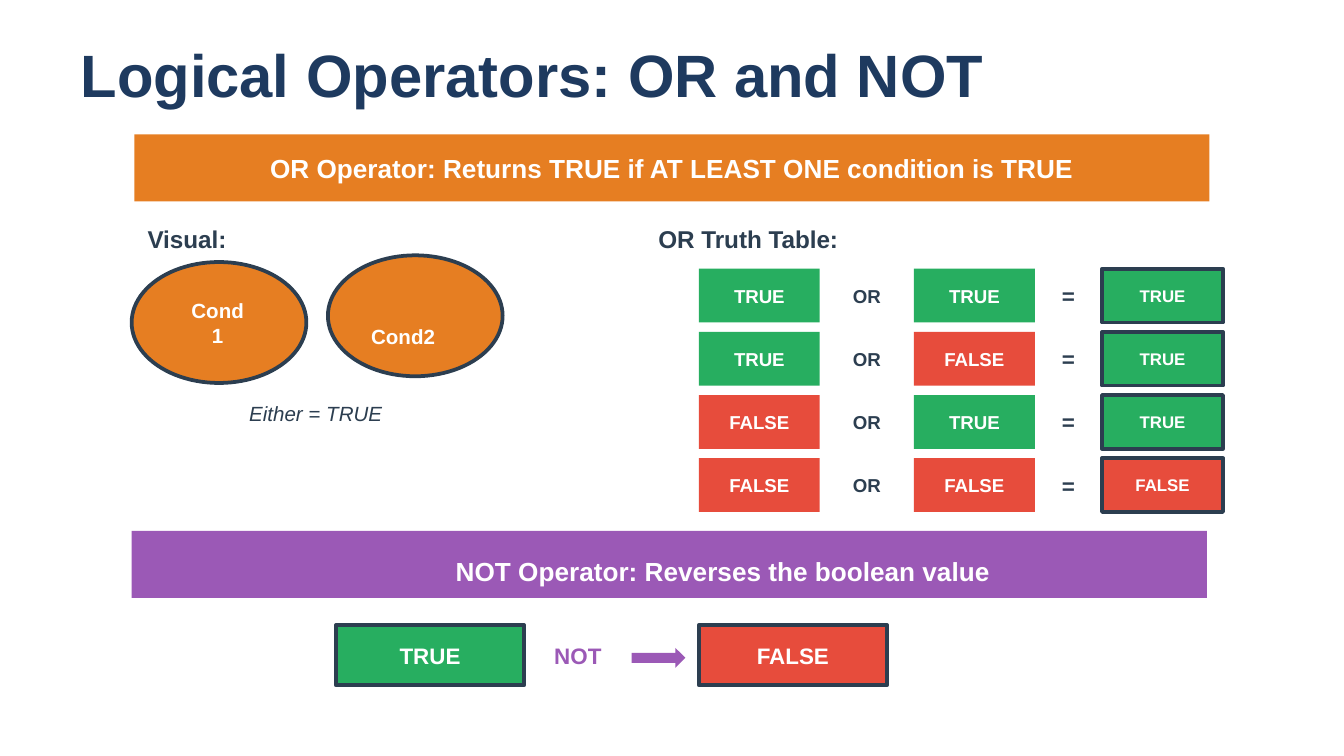
from pptx import Presentation
from pptx.dml.color import RGBColor
from pptx.enum.shapes import MSO_SHAPE as Shape
from pptx.enum.text import MSO_ANCHOR as Anchor, MSO_AUTO_SIZE as AutoSize, PP_ALIGN as Align
from pptx.util import Inches, Pt

COLORS = {
    "title": "1E3A5F",
    "dark": "2C3E50",
    "white": "FFFFFF",
    "or": "E67E22",
    "not": "9B59B6",
    "TRUE": "27AE60",
    "FALSE": "E74C3C",
}


def color(name):
    return RGBColor.from_string(COLORS[name])


def write(frame, text, *, size, ink="white", bold=True, italic=False, align=Align.CENTER):
    """Fill a text frame, one paragraph per line of text."""
    frame.word_wrap = True
    frame.auto_size = AutoSize.NONE
    frame.vertical_anchor = Anchor.MIDDLE
    frame.text = text
    for paragraph in frame.paragraphs:
        paragraph.alignment = align
        for run in paragraph.runs:
            font = run.font
            font.name, font.size = "Arial", Pt(size)
            font.bold, font.italic = bold, italic
            font.color.rgb = color(ink)


class SlideBuilder:
    def __init__(self, slide):
        self.slide = slide

    def title(self, text, left, top, width, height):
        title = self.slide.shapes.title
        title.left, title.top = Inches(left), Inches(top)
        title.width, title.height = Inches(width), Inches(height)
        write(title.text_frame, text, size=32, ink="title", align=Align.LEFT)

    def label(self, text, left, top, width, height, **style):
        box = self.slide.shapes.add_textbox(
            Inches(left), Inches(top), Inches(width), Inches(height))
        write(box.text_frame, text, **style)

    def block(self, kind, left, top, width, height, fill, outlined=False):
        block = self.slide.shapes.add_shape(
            kind, Inches(left), Inches(top), Inches(width), Inches(height))
        block.shadow.inherit = False
        block.fill.solid()
        block.fill.fore_color.rgb = color(fill)
        if outlined:
            block.line.color.rgb = color("dark")
            block.line.width = Pt(2)
        else:
            block.line.fill.background()

    def value(self, text, left, top, width, height, size, outlined=False):
        """A boolean tile, coloured by its value."""
        self.block(Shape.RECTANGLE, left, top, width, height, text, outlined)
        self.label(text, left, top + 0.05, width, height - 0.1, size=size)


def main():
    prs = Presentation()
    prs.slide_width = Inches(10)
    prs.slide_height = Inches(10 * 9 / 16)
    page = SlideBuilder(prs.slides.add_slide(prs.slide_layouts[5]))

    page.title("Logical Operators: OR and NOT", 0.5, 0.3, 9, 0.5)

    # OR banner
    page.block(Shape.RECTANGLE, 1, 1, 8, 0.5, "or")
    page.label("OR Operator: Returns TRUE if AT LEAST ONE condition is TRUE",
               1, 1.05, 8, 0.4, size=14)

    # Section headings
    for heading, left, width in (("Visual:", 1, 3.5), ("OR Truth Table:", 4.8, 4.4)):
        page.label(heading, left, 1.65, width, 0.25, size=13, ink="dark", align=Align.LEFT)

    # Two conditions
    conditions = (
        ("Cond\n1", (0.98, 1.95), (1.07, 2.2)),
        ("Cond2", (2.44, 1.9), (2.45, 2.3)),
    )
    for condition, oval_at, label_at in conditions:
        page.block(Shape.OVAL, *oval_at, 1.3, 0.9, "or", outlined=True)
        page.label(condition, *label_at, 1.1, 0.4, size=11)
    page.label("Either = TRUE", 1.2, 2.95, 2.3, 0.25,
               size=11, ink="dark", bold=False, italic=True)

    # OR truth table
    row = 0
    for first in (True, False):
        for second in (True, False):
            top = 2 + 0.47 * row
            page.value(str(first).upper(), 5.2, top, 0.9, 0.4, size=10)
            page.label("OR", 6.2, top + 0.05, 0.5, 0.3, size=10, ink="dark")
            page.value(str(second).upper(), 6.8, top, 0.9, 0.4, size=10)
            page.label("=", 7.8, top + 0.05, 0.3, 0.3, size=12, ink="dark")
            page.value(str(first or second).upper(), 8.2, top, 0.9, 0.4,
                       size=9, outlined=True)
            row += 1

    # NOT banner
    page.block(Shape.RECTANGLE, 0.98, 3.95, 8, 0.5, "not")
    page.label("NOT Operator: Reverses the boolean value", 1.38, 4.05, 8, 0.4, size=14)

    # NOT example
    page.value("TRUE", 2.5, 4.65, 1.4, 0.45, size=12, outlined=True)
    page.label("NOT", 4, 4.7, 0.6, 0.35, size=12, ink="not")
    page.block(Shape.RIGHT_ARROW, 4.7, 4.82, 0.4, 0.15, "not")
    page.value("FALSE", 5.2, 4.65, 1.4, 0.45, size=12, outlined=True)

    prs.save("out.pptx")


if __name__ == "__main__":
    main()
